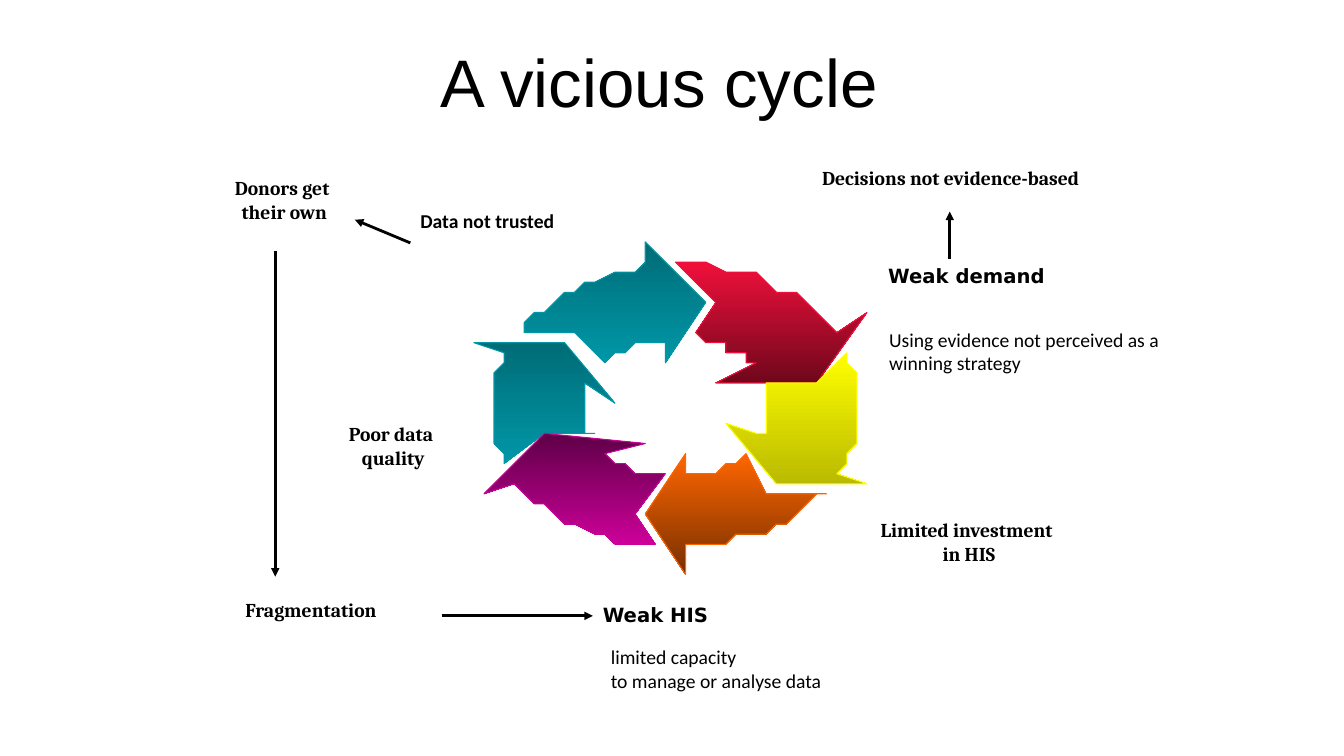
"""Build the slide "A vicious cycle": a ring of six arrows with labels, on a grid of 0.1 inch cells."""
from dataclasses import dataclass
from math import atan2, cos, hypot, remainder, sin, tau

from lxml.etree import SubElement
from pptx import Presentation
from pptx.dml.color import RGBColor
from pptx.enum.shapes import MSO_CONNECTOR as Connector
from pptx.enum.text import MSO_ANCHOR as Anchor, PP_ALIGN as Align
from pptx.oxml.ns import qn
from pptx.util import Inches, Pt


@dataclass(frozen=True)
class Theme:
    ink: RGBColor = RGBColor(0, 0, 0)
    title_font: str = "Arial"
    title_size: Pt = Pt(48)
    label_size: Pt = Pt(14)
    arrow_line: Pt = Pt(2)
    outline: Pt = Pt(0.75)
    teal: tuple = ("006C77", "0097A7")
    red: tuple = ("F0103B", "6F071B")
    yellow: tuple = ("FFFF00", "BABA00")
    orange: tuple = ("FF6600", "762F00")
    purple: tuple = ("5E0047", "CC0099")


theme = Theme()
cell = Inches(0.1)
ring_center = (67, 40.3)
outer_radii = (18.5, 14.1)
inner_radii = (9.2, 7)
arc_steps = 12


def arc(start, end, radii):
    """Return points along the ring's ellipse, both ends included."""
    (x1, y1), (x2, y2) = [
        [(value - center) / radius for value, center, radius in zip(point, ring_center, radii)]
        for point in (start, end)
    ]
    first, sweep = atan2(y1, x1), remainder(atan2(y2, x2) - atan2(y1, x1), tau)
    points = []
    for step in range(arc_steps + 1):
        share = step / arc_steps
        scale = hypot(x1, y1) * (1 - share) + hypot(x2, y2) * share
        angle = first + sweep * share
        points.append((ring_center[0] + radii[0] * scale * cos(angle),
                       ring_center[1] + radii[1] * scale * sin(angle)))
    return points


def format_text(text_frame, font_name, size, bold, alignment):
    """Give every run in the frame the same font and each paragraph its alignment."""
    for paragraph in text_frame.paragraphs:
        paragraph.alignment = alignment
        for run in paragraph.runs:
            run.font.name, run.font.size, run.font.bold = font_name, size, bold
            run.font.color.rgb = theme.ink


presentation = Presentation()
presentation.slide_width, presentation.slide_height = Inches(13.33), Inches(7.5)
slide = presentation.slides.add_slide(presentation.slide_layouts[5])

title = slide.shapes.title
title.left, title.top, title.width, title.height = [int(cell * n) for n in (42.7, 3.5, 46.9, 9.1)]
title.text_frame.text = "A vicious cycle"
title.text_frame.vertical_anchor = Anchor.MIDDLE
format_text(title.text_frame, theme.title_font, theme.title_size, False, Align.LEFT)

# Columns: colours, outer arc, outer barb, tip, inner barb, inner arc, tail notch
ring_arrows = [
    (theme.teal, (50.1, 46), (50, 34.8), (47, 33.6), (56.5, 33.5), (61.4, 39.8),
     (58.2, 38.4), (58.6, 43.2), (53.8, 42.6)),
    (theme.orange, (82.1, 48.6), (68.2, 54.3), (68.2, 57.2), (63.6, 50.9), (68.2, 44.7),
     (68.2, 47.3), (73.9, 45.1), (76.5, 48.8)),
    (theme.purple, (65.3, 54.3), (51.4, 47.8), (47.9, 48.7), (54.1, 43.1), (63.5, 44.5),
     (60.5, 45.3), (65.5, 47.2), (62.8, 51)),
    (theme.teal, (51.5, 33.1), (64.4, 26.5), (64.3, 24.1), (69.9, 29.7), (66.2, 36.1),
     (65.7, 33.5), (59.6, 36.5), (56.8, 33.1)),
    (theme.red, (67.3, 26.3), (82.7, 32.7), (85.7, 31.4), (81.2, 37.6), (71.3, 37.6),
     (74.6, 36.2), (68.6, 33.4), (70.8, 29.6)),
    (theme.yellow, (83.9, 34.7), (83.3, 46.9), (86.3, 48.2), (76.6, 48.4), (72.3, 42.1),
     (75.3, 43.4), (75.7, 38.2), (81.3, 38.2)),
]
for colors, outer_tail, outer_head, outer_barb, tip, inner_barb, inner_head, inner_tail, notch in ring_arrows:
    outline = [*arc(outer_tail, outer_head, outer_radii), outer_barb, tip, inner_barb,
               *arc(inner_head, inner_tail, inner_radii), notch]
    builder = slide.shapes.build_freeform(*outline[0], scale=cell)
    builder.add_line_segments(outline[1:], close=True)
    shape = builder.convert_to_shape()
    shape.shadow.inherit = False
    shape.fill.gradient()
    shape.fill.gradient_angle = 270
    for stop, color, position in zip(shape.fill.gradient_stops, colors, (0, 1)):
        stop.color.rgb, stop.position = RGBColor.from_string(color), position
    bright = max(colors, key=lambda color: sum(RGBColor.from_string(color)))
    shape.line.color.rgb = RGBColor.from_string(bright)
    shape.line.width = theme.outline

labels = [
    ("limited capacity\nto manage or analyse data", 59.6, 63.5, 37, 7, "Calibri", False, Align.LEFT),
    ("Using evidence not perceived as a winning strategy", 87.2, 32, 29.5, 10, "Calibri", False, Align.LEFT),
    ("Data not trusted", 40.7, 20.2, 23.2, 4, "Calibri", True, Align.LEFT),
    ("Weak demand", 87.1, 25.7, 35.8, 4, "DejaVu Sans", True, Align.LEFT),
    ("Weak HIS", 58.8, 59.3, 17.2, 4, "DejaVu Sans", True, Align.LEFT),
    ("Poor data \nquality", 32.4, 41.4, 13.2, 7.1, "Cambria", True, Align.CENTER),
    ("Limited investment \nin HIS", 84.3, 50.9, 23.6, 7.1, "Cambria", True, Align.CENTER),
    ("Decisions not evidence-based", 77.7, 16, 33.2, 4, "Cambria", True, Align.CENTER),
    ("Donors get \ntheir own", 21, 17, 14.4, 7.1, "Cambria", True, Align.CENTER),
    ("Fragmentation", 21.8, 58.8, 18.1, 4, "Cambria", True, Align.CENTER),
]
for text, left, top, width, height, font_name, bold, alignment in labels:
    label = slide.shapes.add_textbox(*[int(cell * n) for n in (left, top, width, height)])
    label.text_frame.word_wrap = True
    label.text_frame.text = text
    format_text(label.text_frame, font_name, theme.label_size, bold, alignment)

link_arrows = [
    (94.2, 25.7, 94.2, 21),
    (40.7, 24.1, 35.2, 21.8),
    (27.3, 24.9, 27.3, 57.2),
    (43.8, 61.1, 58.8, 61.1),
]
for ends in link_arrows:
    connector = slide.shapes.add_connector(Connector.STRAIGHT, *[int(cell * n) for n in ends])
    connector.line.color.rgb = theme.ink
    connector.line.width = theme.arrow_line
    SubElement(connector.line._get_or_add_ln(), qn("a:tailEnd"), type="triangle")
    SubElement(connector._element.spPr, qn("a:effectLst"))

presentation.save("out.pptx")
